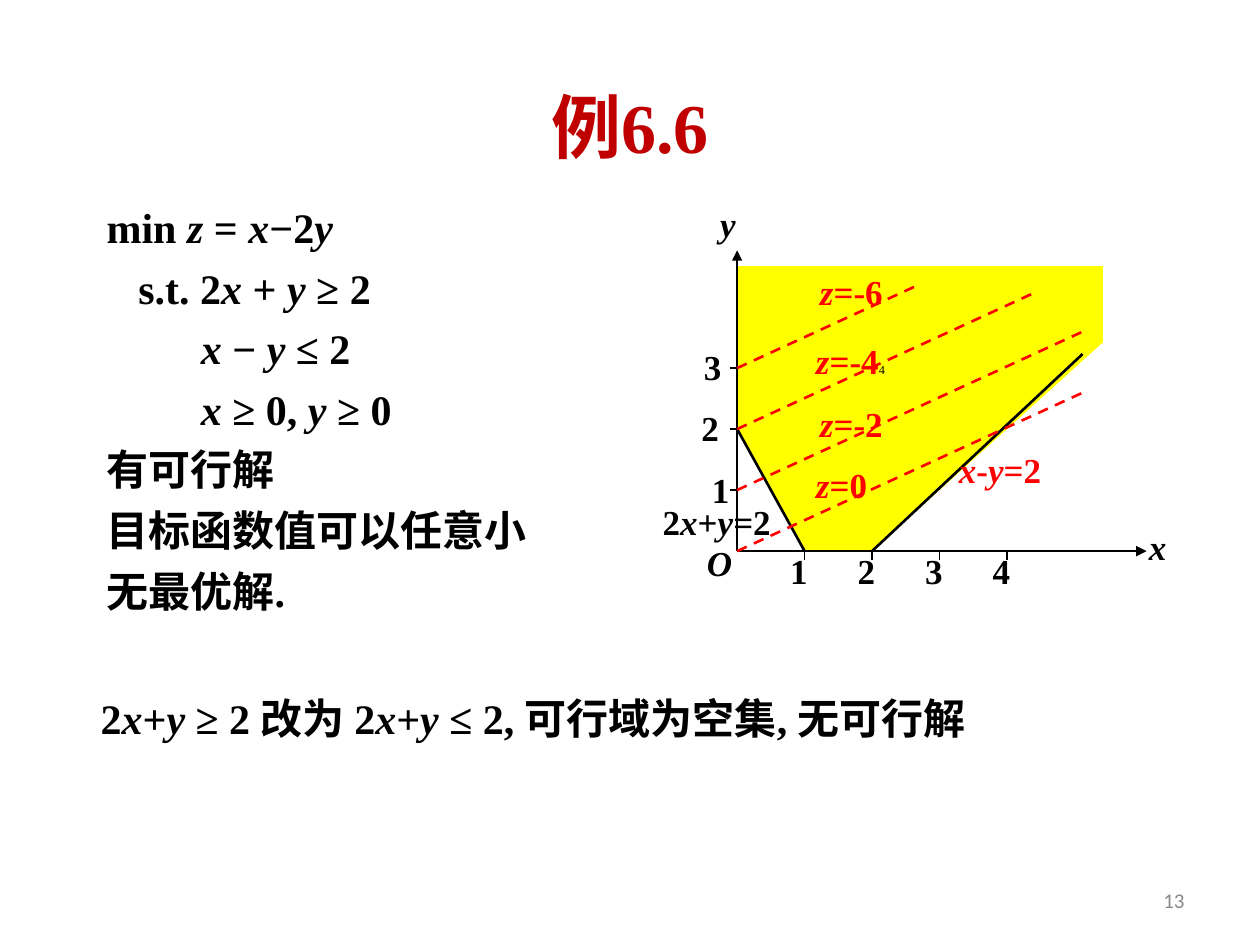
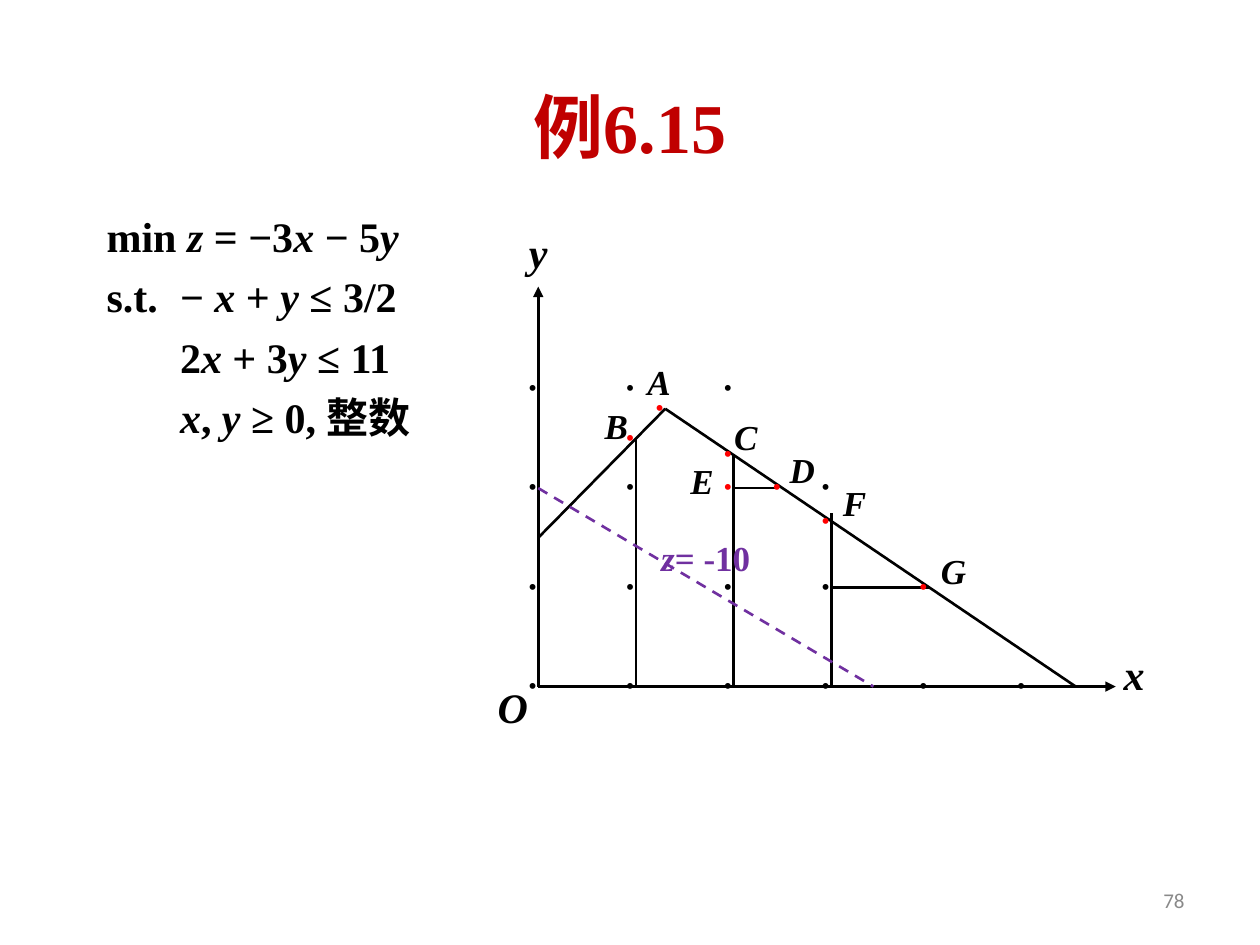
"""Build two slides on linear and integer programming with their feasible regions."""
from itertools import groupby

from lxml import etree
from pptx import Presentation
from pptx import util as u
from pptx.dml.color import RGBColor
from pptx.enum import dml, lang, shapes, text
from pptx.oxml.ns import qn

BLACK = RGBColor(0, 0, 0)
RED = RGBColor(0xFF, 0, 0)
CRIMSON = RGBColor(0xC0, 0, 0)
PURPLE = RGBColor(0x70, 0x30, 0xA0)
YELLOW = RGBColor(0xFF, 0xFF, 0)
GREY = RGBColor(0x89, 0x89, 0x89)
SERIF, SANS = "Times New Roman", "Calibri"
VARIABLES = "xyzOABCDEFG"
MATH_TAB = 1.48

UNBOUNDED = {
    "title": "例6.6",
    "number": "13",
    "top": 3.94,
    "lines": [
        (0, "min z = x−2y"),
        (0.64, "s.t. 2x + y ≥ 2"),
        (1.9, "x − y ≤ 2"),
        (1.9, "x ≥ 0, y ≥ 0"),
        (0, "有可行解"),
        (0, "目标函数值可以任意小"),
        (0, "无最优解."),
    ],
}
REMARK = "2x+y ≥ 2 改为 2x+y ≤ 2, 可行域为空集, 无可行解"
REGION = [(0, 4.67), (5.42, 4.67), (5.42, 3.42), (2, 0), (1, 0), (0, 2)]
BOUNDARIES = [((0, 2), (1, 0)), ((5.12, 3.23), (2, 0))]
LEVEL_SLOPE = 0.507
LEVELS = [
    ("z=0", 0, 5.1, (16.2, 9.22)),
    ("z=-2", 1, 5.1, (16.28, 7.98)),
    ("z=-4", 2, 4.43, (16.2, 6.71)),
    ("z=-6", 3, 2.69, (16.28, 5.33)),
]
REGION_LABELS = [
    ("2x+y=2", 13.11, 9.96, BLACK),
    ("x-y=2", 19.08, 8.92, RED),
    ("O", 14, 10.8, BLACK),
    ("x", 22.91, 10.46, BLACK),
    ("y", 14.27, 3.96, BLACK),
]
Y_TICK_LEFTS = [14.1, 13.89, 13.94]

INTEGER = {
    "title": "例6.15",
    "number": "78",
    "top": 4.11,
    "lines": [
        (0, "min z = −3x − 5y"),
        (0, "s.t.\t− x + y ≤ 3/2"),
        (MATH_TAB, "2x + 3y ≤ 11"),
        (MATH_TAB, "x, y ≥ 0, 整数"),
    ],
}
EDGES = [
    ((0, 1.5), (1.3, 2.8)), ((1.3, 2.8), (5.5, 0)),
    ((1, 0), (1, 2.5)), ((2, 0), (2, 7 / 3)), ((3, 0), (3, 1.75)),
    ((2, 2), (2.44, 2)), ((3, 1), (4, 1)),
]
LATTICE_ROWS = [(0, range(6)), (1, range(4)), (2, (0, 1, 3)), (3, range(3))]
VERTICES = [
    ("A", 1.3, 2.8, 12.8, 7.14), ("B", 1, 2.5, 11.94, 8.03),
    ("C", 2, 7 / 3, 14.55, 8.26), ("D", 2.5, 2, 15.67, 8.92),
    ("E", 2, 2, 13.67, 9.14), ("F", 3, 5 / 3, 16.74, 9.58),
    ("G", 4, 1, 18.72, 10.95),
]
AXIS_LABELS = [("O", 9.78, 13.61), ("x", 22.4, 12.95), ("y", 10.41, 4.45)]


def add_span(para, words, size, color, bold=True, name=SERIF, italic=False):
    span = para.add_run()
    span.text = words
    font = span.font
    font.size, font.name, font.bold, font.italic = u.Pt(size), name, bold, italic
    font.color.rgb = color
    font.language_id = lang.MSO_LANGUAGE_ID.SIMPLIFIED_CHINESE


def add_math(para, words, size, color, bold=True):
    for italic, letters in groupby(words, lambda letter: letter in VARIABLES):
        add_span(para, "".join(letters), size, color, bold, italic=italic)


def add_box(page, left, top, width, height, anchor=text.MSO_ANCHOR.TOP):
    box = page.shapes.add_textbox(u.Cm(left), u.Cm(top), u.Cm(width), u.Cm(height))
    box.text_frame.word_wrap = True
    box.text_frame.vertical_anchor = anchor
    return box.text_frame


def add_label(page, words, left, top, size=20, color=BLACK, bold=True):
    width = 1.1 if len(words) == 1 else 3.1
    para = add_box(page, left, top, width, 1.1).paragraphs[0]
    add_math(para, words, size, color, bold)
    return para


def add_lines(frame, lines):
    for index, (indent, words) in enumerate(lines):
        para = frame.add_paragraph() if index else frame.paragraphs[0]
        properties = para._p.get_or_add_pPr()
        properties.set("marL", str(u.Cm(indent)))
        if "\t" in words:
            stops = etree.SubElement(properties, qn("a:tabLst"))
            etree.SubElement(stops, qn("a:tab"), pos=str(u.Cm(MATH_TAB)), algn="l")
        para.space_before = u.Pt(5.8 if index else 0)
        add_math(para, words, 24, BLACK)


def add_page(deck, content):
    page = deck.slides.add_slide(deck.slide_layouts[6])
    title = add_box(page, 1.9, 1.32, 21.6, 2.41, text.MSO_ANCHOR.MIDDLE).paragraphs[0]
    title.alignment = text.PP_ALIGN.CENTER
    add_span(title, content["title"], 40, CRIMSON)
    add_lines(add_box(page, 1.9, content["top"], 11, 8), content["lines"])
    number = add_box(page, 18.2, 17.65, 5.93, 1.01, text.MSO_ANCHOR.MIDDLE).paragraphs[0]
    number.alignment = text.PP_ALIGN.RIGHT
    add_span(number, content["number"], 12, GREY, False, SANS)
    return page


class Plot:
    """A plane whose points are given in mathematical units."""

    def __init__(self, page, left, base, x_unit, y_unit):
        self.page, self.left, self.base = page, left, base
        self.x_unit, self.y_unit = x_unit, y_unit

    def place(self, point):
        return self.left + point[0] * self.x_unit, self.base - point[1] * self.y_unit

    def line(self, start, end, color=BLACK, width=1.5, dashed=False, arrow=False):
        ends = [u.Cm(value) for point in (start, end) for value in self.place(point)]
        line = self.page.shapes.add_connector(shapes.MSO_CONNECTOR.STRAIGHT, *ends)
        line.line.color.rgb = color
        line.line.width = u.Pt(width)
        if dashed:
            line.line.dash_style = dml.MSO_LINE.DASH
        if arrow:
            etree.SubElement(line.line._get_or_add_ln(), qn("a:tailEnd"), type="triangle")
        etree.SubElement(line._element.spPr, qn("a:effectLst"))

    def axes(self, x_end, y_end):
        for end in ((x_end, 0), (0, y_end)):
            self.line((0, 0), end, arrow=True)

    def area(self, corners, color):
        points = [tuple(u.Cm(value) for value in self.place(corner)) for corner in corners]
        outline = self.page.shapes.build_freeform(*points[0])
        outline.add_line_segments(points[1:], close=True)
        area = outline.convert_to_shape()
        area.shadow.inherit = False
        area.fill.solid()
        area.fill.fore_color.rgb = color
        area.line.fill.background()

    def dot(self, point, color=BLACK):
        left, top = self.place(point)
        add_label(self.page, "•", left - 0.45, top - 0.46, 14, color, False)


def build_unbounded(deck):
    page = add_page(deck, UNBOUNDED)
    plot = Plot(page, 14.86, 11.11, 1.36, 1.23)
    plot.area(REGION, YELLOW)
    plot.axes(6.07, 4.93)
    for start, end in BOUNDARIES:
        plot.line(start, end)
    for tick in range(1, 5):
        plot.line((tick, 0), (tick, -0.14), width=0.75)
        add_label(page, str(tick), plot.place((tick, 0))[0] - 0.54, 10.96)
    for tick, left in enumerate(Y_TICK_LEFTS, 1):
        plot.line((-0.11, tick), (0, tick), width=0.75)
        add_label(page, str(tick), left, plot.place((0, tick))[1] - 0.57)
    for words, height, reach, corner in LEVELS:
        plot.line((0, height), (reach, height + LEVEL_SLOPE * reach), RED, dashed=True)
        para = add_label(page, words, *corner, color=RED)
        if words == "z=-4":
            add_span(para, "4", 7, BLACK, False)
    for words, left, top, color in REGION_LABELS:
        add_label(page, words, left, top, color=color)
    add_lines(add_box(page, 1.78, 13.84, 19.84, 1.83), [(0, REMARK)])


def build_integer(deck):
    page = add_page(deck, INTEGER)
    plot = Plot(page, 10.85, 13.84, 1.97, 2)
    plot.axes(5.91, 4.03)
    for start, end in EDGES:
        plot.line(start, end)
    plot.line((0, 2), (3.43, 0), PURPLE, dashed=True)
    for row, columns in LATTICE_ROWS:
        for column in columns:
            plot.dot((column, row))
    for words, x, y, left, top in VERTICES:
        plot.dot((x, y), RED)
        add_label(page, words, left, top)
    for words, left, top in AXIS_LABELS:
        add_label(page, words, left, top, 24)
    add_label(page, "z= -10", 13.08, 10.69, color=PURPLE)


def main():
    deck = Presentation()
    deck.slide_width, deck.slide_height = u.Cm(25.4), u.Cm(19.05)
    build_unbounded(deck)
    build_integer(deck)
    deck.save("out.pptx")


if __name__ == "__main__":
    main()
